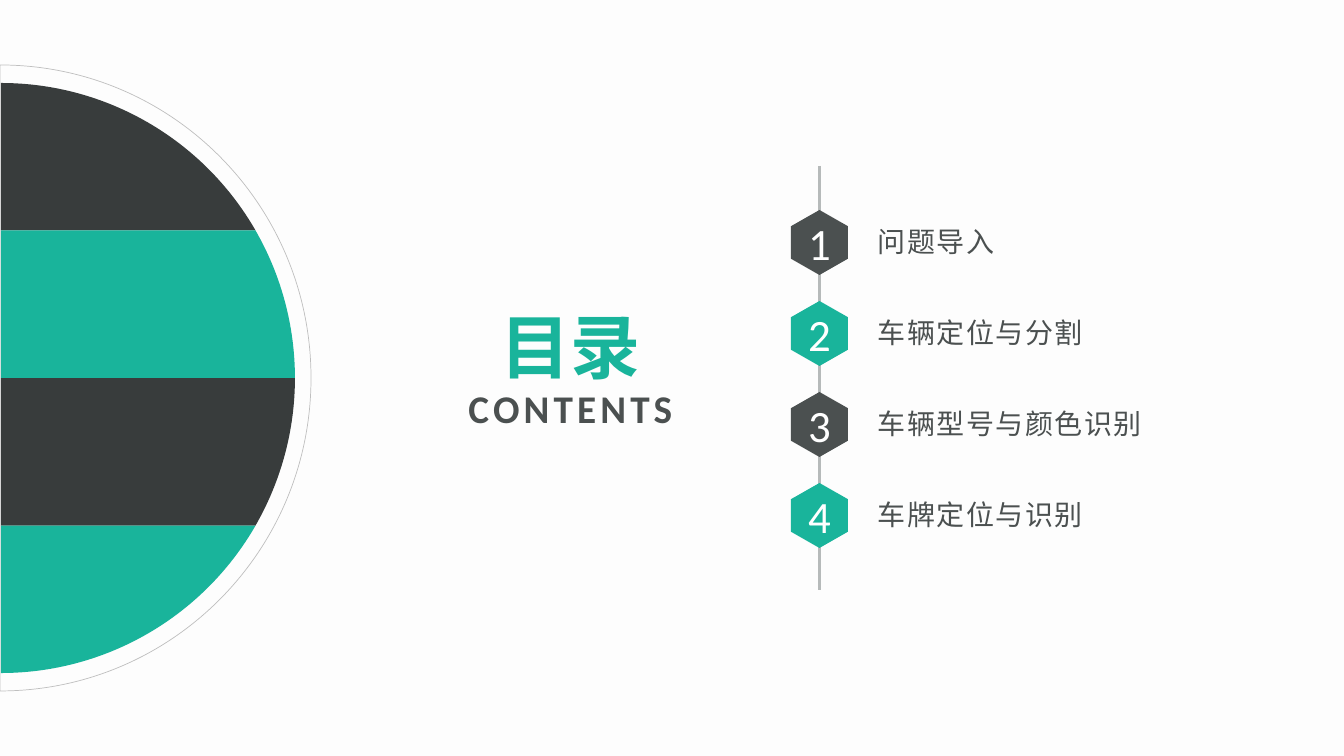
import math

from lxml import etree
from pptx import Presentation
from pptx import util as u
from pptx.dml.color import RGBColor
from pptx.enum import shapes, text
from pptx.oxml.ns import qn

PX = 914400 / 100.8
TEAL, SLATE, CHARCOAL, WHITE = "19B49B", "4B5050", "383C3C", "FFFFFF"
TOPICS = ["问题导入", "车辆定位与分割", "车辆型号与颜色识别", "车牌定位与识别"]


def px(n):
    return u.Emu(round(n * PX))


def rgb(value):
    return RGBColor.from_string(value)


def add_outline(s, points, curves=0):
    """Add a closed freeform; its first segments are cubic curves of three points."""
    emu = [(px(x), px(y)) for x, y in points]
    builder = s.shapes.build_freeform(*emu[0], scale=1.0)
    builder.add_line_segments(emu[1:], close=True)
    sp = builder.convert_to_shape()
    sp.shadow.inherit = False
    segments = list(sp._element.iter(qn("a:lnTo")))
    for i in range(0, 3 * curves, 3):
        curve = etree.Element(qn("a:cubicBezTo"))
        segments[i].addprevious(curve)
        for segment in segments[i:i + 3]:
            curve.append(segment[0])
            segment.getparent().remove(segment)
    return sp


def write(sp, words, size, color, align=text.PP_ALIGN.CENTER, bold=False,
          spacing=0, wrap=True):
    """Fill a shape with one vertically centred line; spacing is in points."""
    tf = sp.text_frame
    tf.word_wrap = wrap
    tf.auto_size = text.MSO_AUTO_SIZE.NONE
    tf.vertical_anchor = text.MSO_ANCHOR.MIDDLE
    p = tf.paragraphs[0]
    p.alignment = align
    p.font.name, p.font.size, p.font.bold = "Calibri", u.Pt(size), bold
    p.font.color.rgb = rgb(color)
    r = p.add_run()
    r.text = words
    if spacing:
        r._r.get_or_add_rPr().set("spc", str(spacing * 100))


def half_disc(s, box, *angles):
    """Add a slice of a right-facing half disc, one curve between each two angles."""
    x, y, w, h = box

    def at(angle, pull=0):
        a = math.radians(angle)
        return (x + w * (math.cos(a) - pull * math.sin(a)),
                y + h / 2 * (1 + math.sin(a) + pull * math.cos(a)))

    points = [at(angles[0])]
    for start, end in zip(angles, angles[1:]):
        pull = 4 / 3 * math.tan(math.radians(end - start) / 4)
        points += [at(start, pull), at(end, -pull), at(end)]
    if angles[-1] < 90:
        points.append((x, at(angles[-1])[1]))
    if angles[0] > -90:
        points.append((x, at(angles[0])[1]))
    return add_outline(s, points, len(angles) - 1)


def striped_disc(s, x, y, w, h):
    gap = 18
    limits = [-90, -30, 0, 30, 90]
    for i, (start, end) in enumerate(zip(limits, limits[1:])):
        band = half_disc(s, (x + 1, y + gap, w - gap + 1, h - 2 * gap), start, end)
        band.fill.solid()
        band.fill.fore_color.rgb = rgb(TEAL if i % 2 else CHARCOAL)
        band.line.fill.background()
    ring = half_disc(s, (x, y, w, h), -90, 0, 90)
    ring.fill.background()
    ring.line.color.rgb = rgb("BFBFBF")
    ring.line.width = u.Pt(0.5)


def heading(s, x, y, w, h):
    title = s.shapes.title
    title_w, line_h = 195, 87
    title.left, title.top = px(x + (w - title_w) / 2), px(y)
    title.width, title.height = px(title_w), px(line_h)
    write(title, "目录", 50, TEAL, bold=True)
    subtitle = s.shapes.add_textbox(px(x), px(y + h - line_h), px(w), px(line_h))
    write(subtitle, "CONTENTS", 28, SLATE, bold=True, spacing=3, wrap=False)


def topic(s, x, y, w, h, number, words, color):
    """Add a numbered hexagon with its label to the right."""
    hex_w, gap = 57, 10
    label = s.shapes.add_textbox(px(x + hex_w + gap), px(y + 2),
                                 px(w - hex_w - gap), px(h - 6))
    label.text_frame.margin_left = px(20)
    write(label, words, 20, SLATE, text.PP_ALIGN.LEFT, spacing=1)
    mid, right = x + hex_w / 2, x + hex_w
    upper, lower = y + h / 4, y + h * 3 / 4
    badge = add_outline(s, [(mid, y), (right, upper), (right, lower),
                            (mid, y + h), (x, lower), (x, upper)])
    badge.fill.solid()
    badge.fill.fore_color.rgb = rgb(color)
    badge.line.fill.background()
    write(badge, str(number), 32, WHITE)


def agenda(s, x, y, w, h):
    axis_x = px(x + 57 / 2)
    axis = s.shapes.add_connector(shapes.MSO_CONNECTOR.STRAIGHT,
                                  axis_x, px(y), axis_x, px(y + h))
    axis.line.color.rgb = rgb("B6BABA")
    axis.line.width = u.Pt(2)
    etree.SubElement(axis._element.spPr, qn("a:effectLst"))
    for i, words in enumerate(TOPICS):
        topic(s, x, y + 44 + 91 * i, w, 65, i + 1, words, TEAL if i % 2 else SLATE)


def contents_slide(prs):
    s = prs.slides.add_slide(prs.slide_layouts[5])
    s.background.fill.solid()
    s.background.fill.fore_color.rgb = rgb("FDFDFD")
    striped_disc(s, 0, 65, 311, 626)
    agenda(s, 791, 166, 540, 424)
    heading(s, 378, 302, 385, 149)


def main():
    prs = Presentation()
    prs.slide_width, prs.slide_height = px(1344), px(756)
    contents_slide(prs)
    prs.save("out.pptx")


if __name__ == "__main__":
    main()
